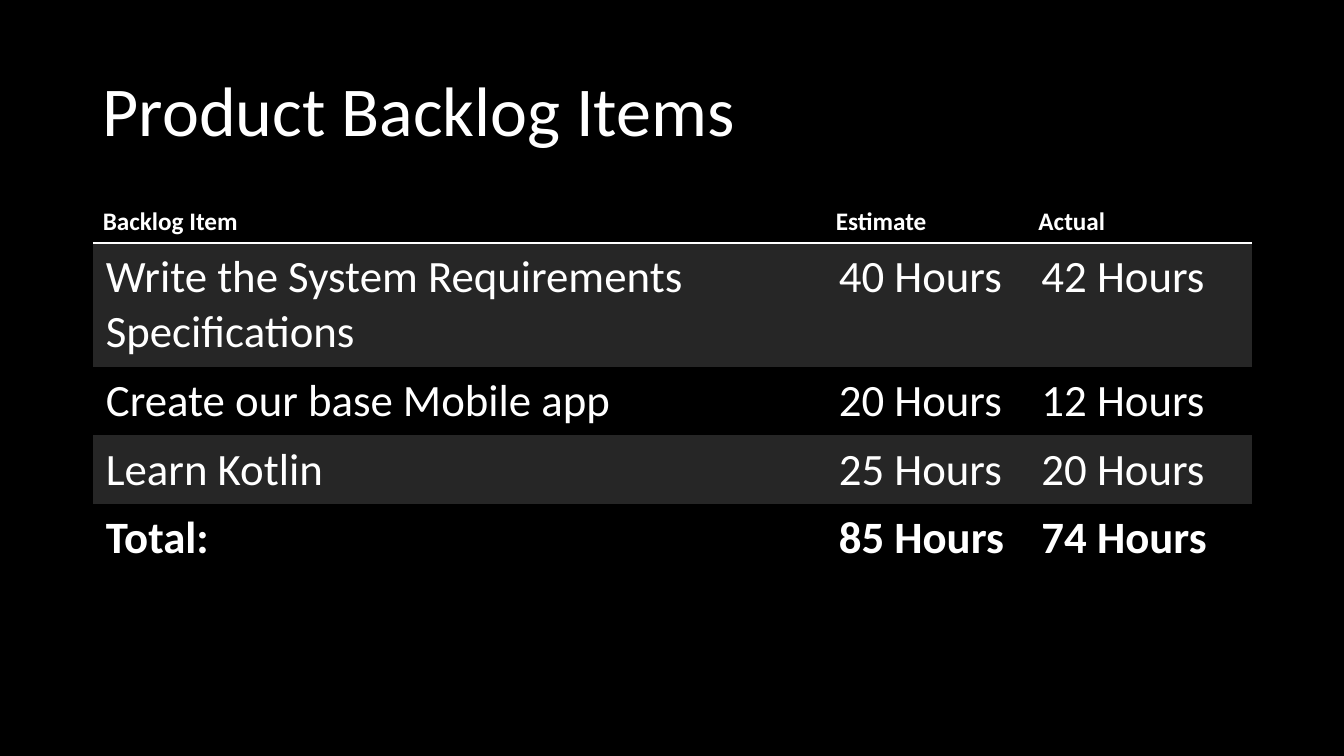
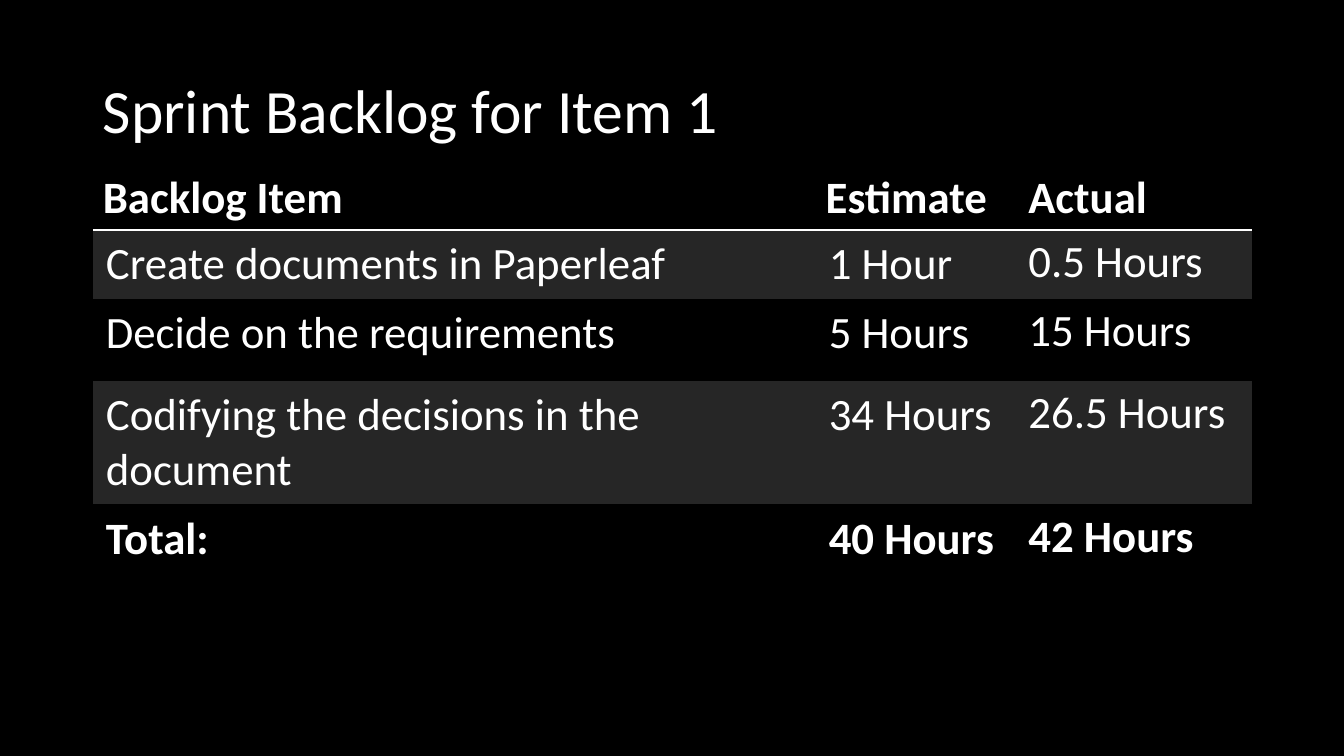
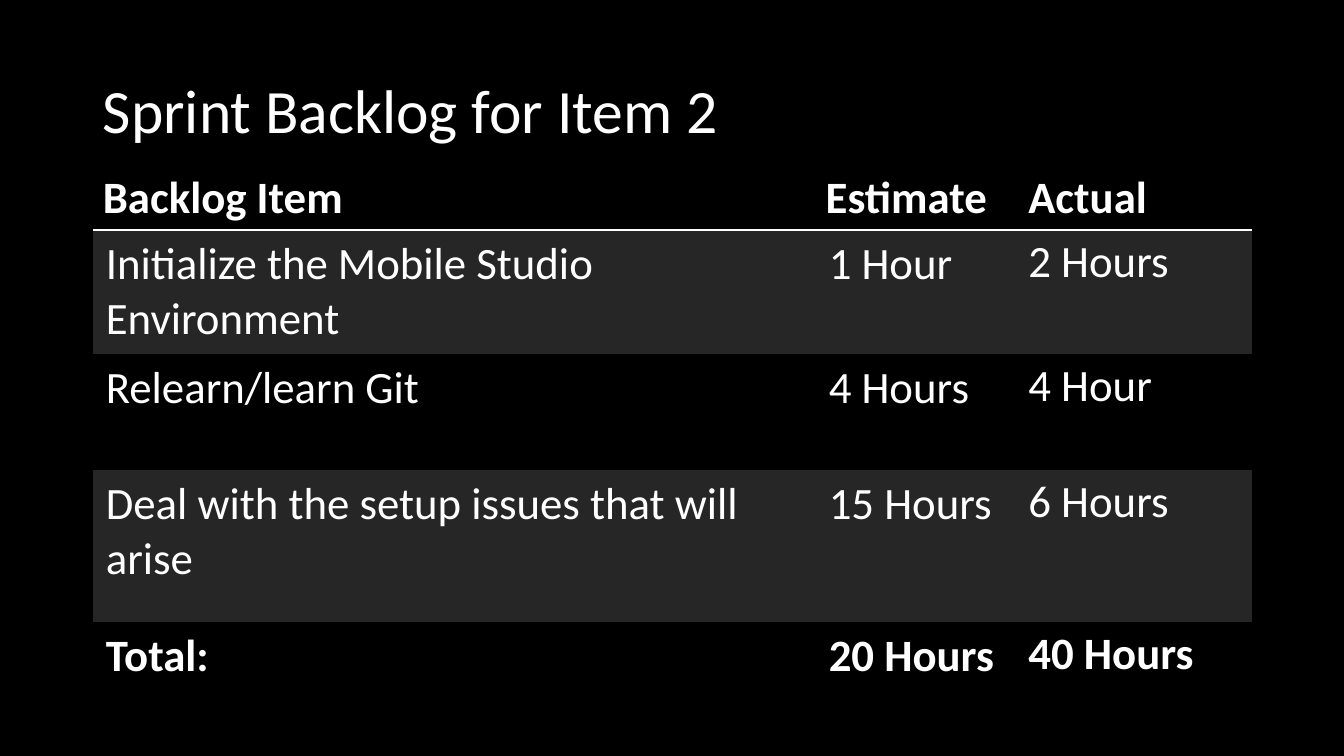
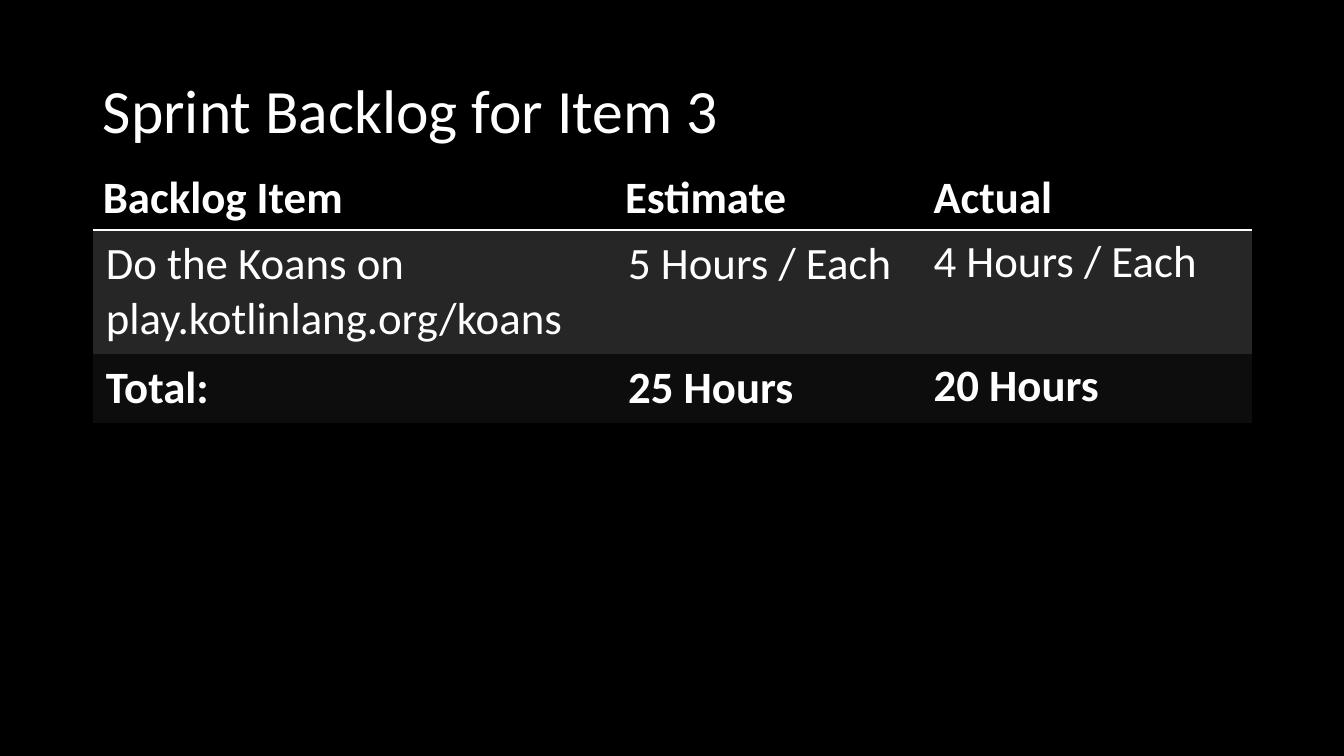
from dataclasses import dataclass

from lxml import etree
from pptx import Presentation
from pptx.dml.color import RGBColor as RGB
from pptx.enum.text import MSO_ANCHOR as Anchor, PP_ALIGN as Align
from pptx.oxml.ns import qn
from pptx.util import Inches, Pt


@dataclass(frozen=True)
class Theme:
    font: str = "Calibri"
    black: RGB = RGB(0x00, 0x00, 0x00)
    white: RGB = RGB(0xFF, 0xFF, 0xFF)
    band: RGB = RGB(0x26, 0x26, 0x26)
    dark_band: RGB = RGB(0x0D, 0x0D, 0x0D)
    main_title: int = 50
    sprint_title: int = 44
    small_header: int = 18
    body: int = 32
    plain_table_style: str = "{2D5ABB26-0587-4C30-8999-92F81FD0307C}"


theme = Theme()
LEFT, WIDTH = 0.92, 11.5
SPRINT_TOP = 1.64
SPRINT_COLUMNS = [7.17, 2.01, 2.32]
HEADER = ("Backlog Item", "Estimate", "Actual")


def add_run(paragraph, text, size, bold=False):
    run = paragraph.add_run()
    run.text = text
    run.font.name = theme.font
    run.font.size = Pt(size)
    run.font.bold = bold
    run.font.color.rgb = theme.white


def add_bottom_border(cell, points):
    properties = cell._tc.get_or_add_tcPr()
    line = etree.Element(qn("a:lnB"), w=str(Pt(points)))
    fill = etree.SubElement(line, qn("a:solidFill"))
    etree.SubElement(fill, qn("a:srgbClr"), val=str(theme.white))
    properties.insert(0, line)


backlogs = [
    dict(
        title="Product Backlog Items", title_size=theme.main_title,
        top=2.0, columns=[7.27, 2.01, 2.22], heights=[0.41, 1.22, 0.68, 0.68, 0.68],
        header_size=theme.small_header, rule=2, padded_columns=3, total_fill=theme.black,
        rows=[
            ("Write the System Requirements Specifications", "40 Hours", "42 Hours"),
            ("Create our base Mobile app", "20 Hours", "12 Hours"),
            ("Learn Kotlin", "25 Hours", "20 Hours"),
            ("Total:", "85 Hours", "74 Hours"),
        ],
    ),
    dict(
        title="Sprint Backlog for Item 1", title_size=theme.sprint_title,
        top=SPRINT_TOP, columns=SPRINT_COLUMNS, heights=[0.64, 0.67, 0.81, 1.22, 0.81],
        header_size=theme.body, rule=2, padded_columns=2, total_fill=theme.black,
        rows=[
            ("Create documents in Paperleaf", "1 Hour", "0.5 Hours"),
            ("Decide on the requirements", "5 Hours", "15 Hours"),
            ("Codifying the decisions in the document", "34 Hours", "26.5 Hours"),
            ("Total:", "40 Hours", "42 Hours"),
        ],
    ),
    dict(
        title="Sprint Backlog for Item 2", title_size=theme.sprint_title,
        top=SPRINT_TOP, columns=SPRINT_COLUMNS, heights=[0.64, 1.22, 1.15, 1.51, 1.15],
        header_size=theme.body, rule=1.5, padded_columns=2, total_fill=theme.black,
        rows=[
            ("Initialize the Mobile Studio Environment", "1 Hour", "2 Hours"),
            ("Relearn/learn Git", "4 Hours", "4 Hour"),
            ("Deal with the setup issues that will arise", "15 Hours", "6 Hours"),
            ("Total:", "20 Hours", "40 Hours"),
        ],
    ),
    dict(
        title="Sprint Backlog for Item 3", title_size=theme.sprint_title,
        top=SPRINT_TOP, columns=[5.18, 3.06, 3.26], heights=[0.64, 1.22, 0.68],
        header_size=theme.body, rule=1.5, padded_columns=2, total_fill=theme.dark_band,
        rows=[
            ("Do the Koans on play.kotlinlang.org/koans", "5 Hours / Each", "4 Hours / Each"),
            ("Total:", "25 Hours", "20 Hours"),
        ],
    ),
]

presentation = Presentation()
presentation.slide_width, presentation.slide_height = Inches(13.33), Inches(7.5)
background = presentation.slide_master.background.fill
background.solid()
background.fore_color.rgb = theme.black
title_only = presentation.slide_layouts.get_by_name("Title Only")

for backlog in backlogs:
    slide = presentation.slides.add_slide(title_only)

    title = slide.shapes.title
    title.left, title.top = Inches(LEFT), Inches(0.4)
    title.width, title.height = Inches(WIDTH), Inches(1.45)
    title.text_frame.vertical_anchor = Anchor.MIDDLE
    paragraph = title.text_frame.paragraphs[0]
    paragraph.alignment = Align.LEFT
    paragraph.line_spacing = 0.9
    add_run(paragraph, backlog["title"], backlog["title_size"])

    rows = [HEADER, *backlog["rows"]]
    total_row = len(rows) - 1
    table = slide.shapes.add_table(
        len(rows), len(HEADER), Inches(LEFT), Inches(backlog["top"]),
        Inches(WIDTH), Inches(sum(backlog["heights"])),
    ).table
    table.horz_banding = False
    table._tbl.tblPr.find(qn("a:tableStyleId")).text = theme.plain_table_style
    for column, width in zip(table.columns, backlog["columns"]):
        column.width = Inches(width)

    for row_index, (row, height) in enumerate(zip(rows, backlog["heights"])):
        table.rows[row_index].height = Inches(height)
        is_header, is_total = row_index == 0, row_index == total_row
        if is_total:
            row_fill = backlog["total_fill"]
        else:
            row_fill = theme.band if row_index % 2 else theme.black

        for column_index, text in enumerate(row):
            cell = table.cell(row_index, column_index)
            cell.fill.solid()
            cell.fill.fore_color.rgb = row_fill
            if is_header:
                add_bottom_border(cell, backlog["rule"])
            elif column_index < backlog["padded_columns"]:
                cell.margin_left = cell.margin_right = Inches(0.13)
                cell.margin_top = cell.margin_bottom = Inches(0.07)
            size = backlog["header_size"] if is_header else theme.body
            add_run(cell.text_frame.paragraphs[0], text, size, is_header or is_total)

presentation.save("out.pptx")
